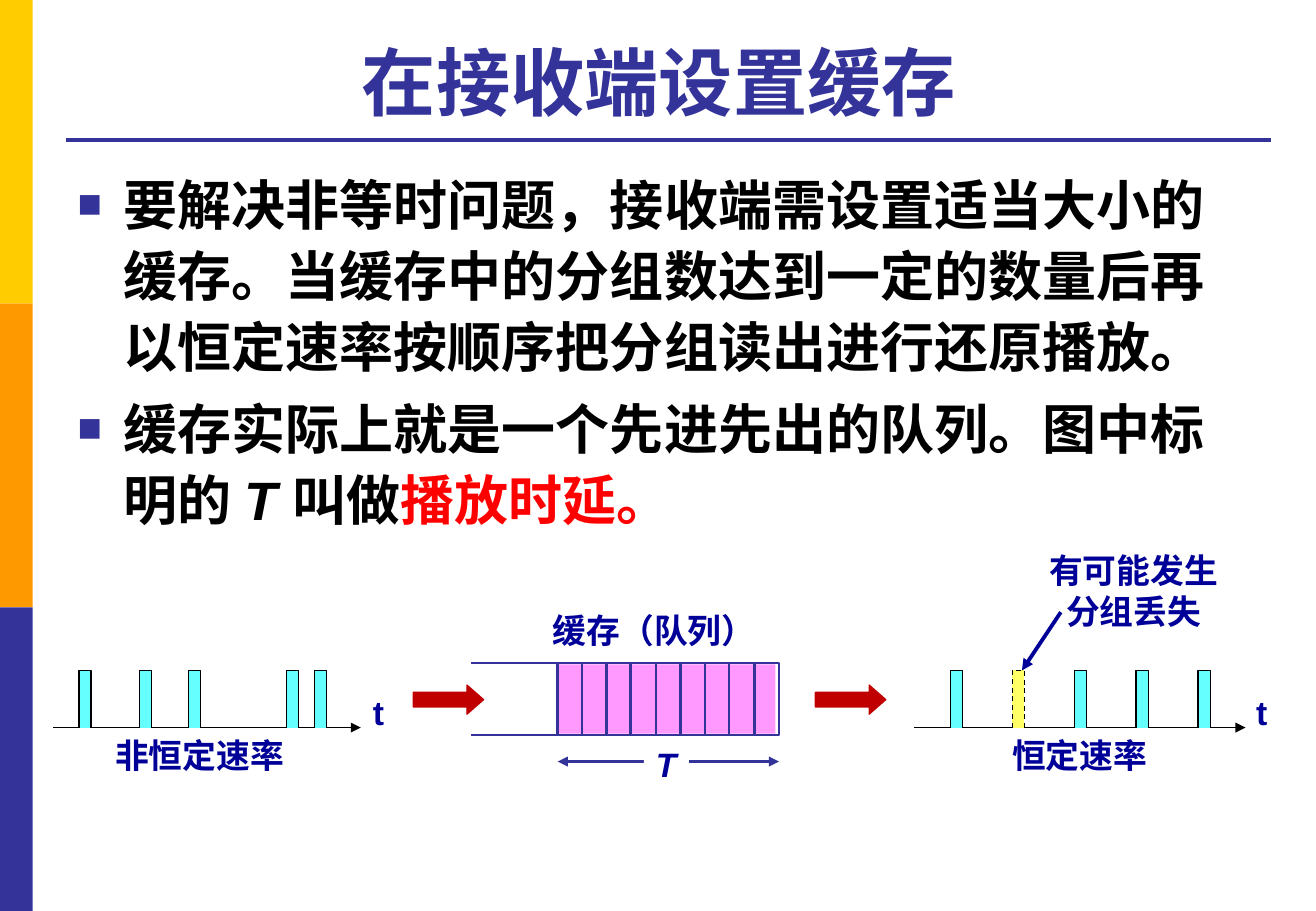
"""Build a slide on buffering at the receiving end."""
from lxml.etree import SubElement
from pptx import Presentation
from pptx.dml.color import RGBColor
from pptx.enum.dml import MSO_LINE
from pptx.enum.shapes import MSO_CONNECTOR, MSO_SHAPE
from pptx.enum.text import MSO_ANCHOR, MSO_AUTO_SIZE, PP_ALIGN
from pptx.oxml.ns import qn
from pptx.util import Pt

PX = 9144
GOLD = RGBColor(0xFF, 0xCC, 0x00)
ORANGE = RGBColor(0xFF, 0x99, 0x00)
INDIGO = RGBColor(0x33, 0x33, 0x99)
NAVY = RGBColor(0x00, 0x00, 0x99)
BLACK = RGBColor(0x00, 0x00, 0x00)
WHITE = RGBColor(0xFF, 0xFF, 0xFF)
RED = RGBColor(0xFF, 0x00, 0x00)
BRICK = RGBColor(0xC0, 0x00, 0x00)
PINK = RGBColor(0xFF, 0x99, 0xFF)
CYAN = RGBColor(0x66, 0xFF, 0xFF)
YELLOW = RGBColor(0xFF, 0xFF, 0x66)

deck = Presentation()
deck.slide_width, deck.slide_height = 1083 * PX, 750 * PX
slide = deck.slides.add_slide(deck.slide_layouts[5])
shapes = slide.shapes


def rule(x1, y1, x2, y2, color, width, ends=()):
    """Draw a line with optional arrowheads."""
    line = shapes.add_connector(
        MSO_CONNECTOR.STRAIGHT, x1 * PX, y1 * PX, x2 * PX, y2 * PX)
    line.line.color.rgb = color
    line.line.width = Pt(width)
    props = line.element.spPr
    for end in ends:
        SubElement(props.find(qn("a:ln")), qn(end), type="triangle")
    SubElement(props, qn("a:effectLst"))


def write(para, text, size, color, italic=False):
    """Add a bold run to a paragraph."""
    run = para.add_run()
    run.text = text
    style = {"name": "Arial", "size": Pt(size), "bold": True, "italic": italic}
    for key, value in style.items():
        setattr(run.font, key, value)
    run.font.color.rgb = color


blocks = [(0, 0, 27, 250, GOLD), (0, 250, 27, 250, ORANGE),
          (0, 500, 27, 250, INDIGO), (459, 547, 179, 57, PINK)]
for left, top, width, height, color in blocks:
    block = shapes.add_shape(
        MSO_SHAPE.RECTANGLE, left * PX, top * PX, width * PX, height * PX)
    block.shadow.inherit = False
    block.fill.solid()
    block.fill.fore_color.rgb = color
    block.line.fill.background()

rule(54, 115, 1046, 115, INDIGO, 2.25)

title = shapes.title
place = {"left": 54, "top": 21, "width": 991, "height": 87}
for key, value in place.items():
    setattr(title, key, value * PX)
frame = title.text_frame
layout = {"word_wrap": True, "auto_size": MSO_AUTO_SIZE.NONE,
          "vertical_anchor": MSO_ANCHOR.BOTTOM}
for key, value in layout.items():
    setattr(frame, key, value)
frame.paragraphs[0].alignment = PP_ALIGN.CENTER
write(frame.paragraphs[0], "在接收端设置缓存 ", 44, INDIGO)

body = shapes.add_textbox(54 * PX, 131 * PX, 991 * PX, 540 * PX).text_frame
body.word_wrap = True
points = [
    [("要解决非等时问题，接收端需设置适当大小的缓存。当缓存中的分组数达到一定的数量后再"
      "以恒定速率按顺序把分组读出进行还原播放。", BLACK, False)],
    [("缓存实际上就是一个先进先出的队列。图中标明的 ", BLACK, False),
     ("T ", BLACK, True), ("叫做", BLACK, False), ("播放时延。", RED, False)],
]
for i, point in enumerate(points):
    para = body.add_paragraph() if i else body.paragraphs[0]
    para.line_spacing = 1.1
    para.space_before = Pt(6)
    props = para._p.get_or_add_pPr()
    props.set("marL", str(38 * PX))
    props.set("indent", str(-38 * PX))
    tint = SubElement(props, qn("a:buClr"))
    SubElement(tint, qn("a:srgbClr"), val=str(INDIGO))
    SubElement(props, qn("a:buSzPct"), val="75000")
    SubElement(props, qn("a:buFont"), typeface="Arial")
    SubElement(props, qn("a:buChar"), char="■")
    for text, color, italic in point:
        write(para, text, 32, color, italic)

for left, right in [(44, 297), (752, 1025)]:
    rule(left, 599, right, 599, BLACK, 0.75, ["a:tailEnd"])

lost = 833
for left in [65, 115, 155, 236, 259, *range(782, 987, 51)]:
    path = shapes.build_freeform(left, 599, PX)
    path.add_line_segments(
        [(left, 552), (left + 10, 552), (left + 10, 599)], close=False)
    pulse = path.convert_to_shape()
    pulse.shadow.inherit = False
    pulse.fill.solid()
    pulse.fill.fore_color.rgb = YELLOW if left == lost else CYAN
    pulse.line.color.rgb = BLACK
    pulse.line.width = Pt(0.75)
    if left == lost:
        pulse.line.dash_style = MSO_LINE.DASH

path = shapes.build_freeform(388, 546, PX)
path.add_line_segments([(641, 546), (641, 605), (388, 605)], close=False)
queue = path.convert_to_shape()
queue.shadow.inherit = False
queue.fill.background()
queue.line.color.rgb = INDIGO
queue.line.width = Pt(1.5)
for i in range(9):
    x = 459 + 81 * i // 4
    rule(x, 546, x, 605, INDIGO, 1.5)
rule(459, 627, 641, 627, INDIGO, 1.5, ["a:headEnd", "a:tailEnd"])

for left in [340, 671]:
    arrow = shapes.add_shape(
        MSO_SHAPE.RIGHT_ARROW, left * PX, 564 * PX, 58 * PX, 24 * PX)
    arrow.adjustments[1] = 0.57
    arrow.shadow.inherit = False
    arrow.fill.solid()
    arrow.fill.fore_color.rgb = BRICK
    arrow.line.color.rgb = BRICK
    arrow.line.width = Pt(0.75)

labels = [
    (297, 565, 30, 44, ["t"]), (1024, 565, 30, 44, ["t"]),
    (530, 607, 37, 44, ["T"]), (445, 497, 188, 44, ["缓存（队列）"]),
    (85, 600, 160, 44, ["非恒定速率"]), (823, 600, 132, 44, ["恒定速率"]),
    (853, 448, 160, 77, ["有可能发生", "分组丢失"]),
]
for left, top, width, height, lines in labels:
    box = shapes.add_textbox(left * PX, top * PX, width * PX, height * PX)
    frame = box.text_frame
    frame.word_wrap = False
    frame.auto_size = MSO_AUTO_SIZE.SHAPE_TO_FIT_TEXT
    delay = lines == ["T"]
    if delay:
        box.fill.solid()
        box.fill.fore_color.rgb = WHITE
    for i, text in enumerate(lines):
        para = frame.add_paragraph() if i else frame.paragraphs[0]
        if len(lines) > 1:
            para.alignment = PP_ALIGN.CENTER
        write(para, text, 20, NAVY, delay)

rule(873, 504, 841, 552, NAVY, 2.25, ["a:tailEnd"])

deck.save("out.pptx")
